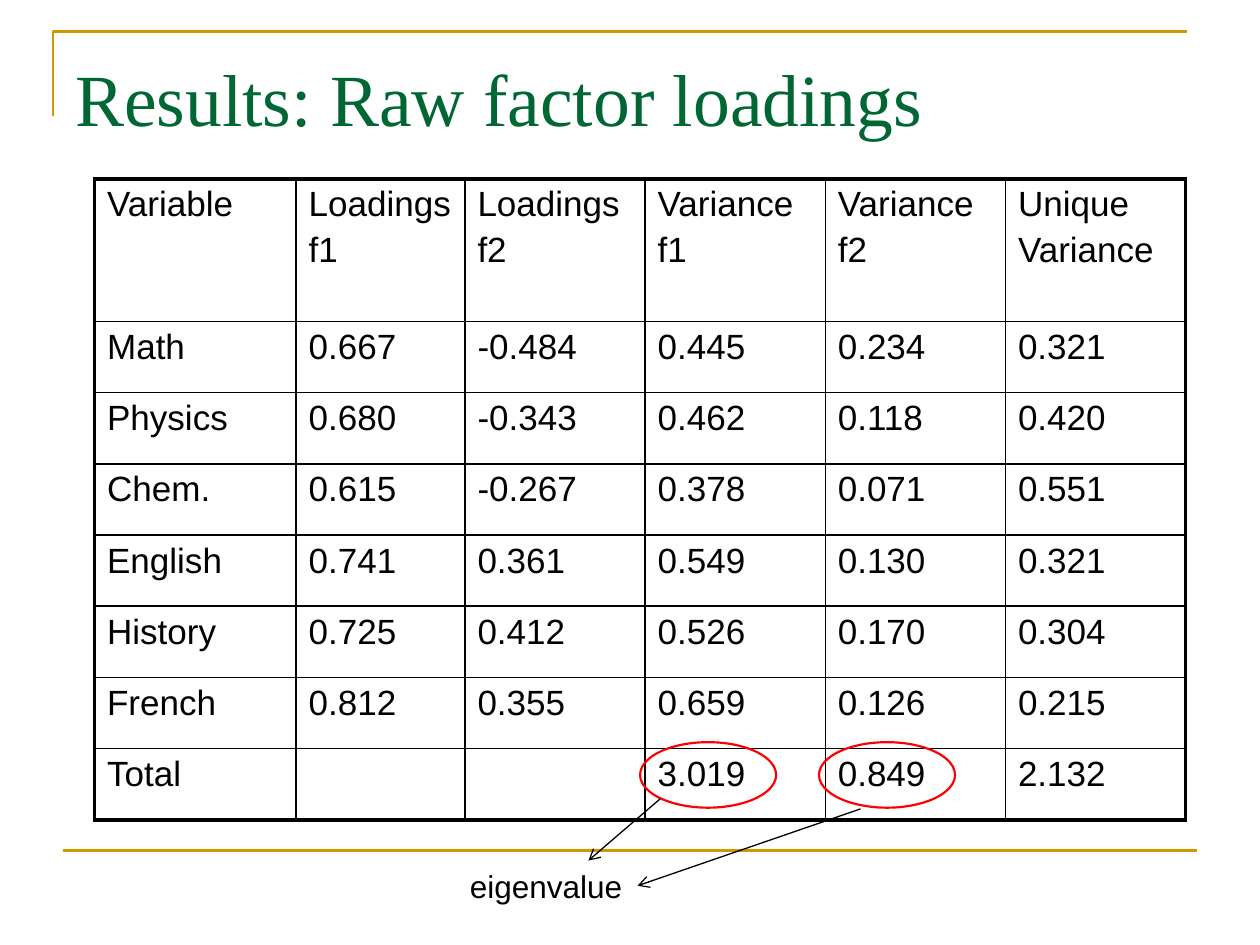
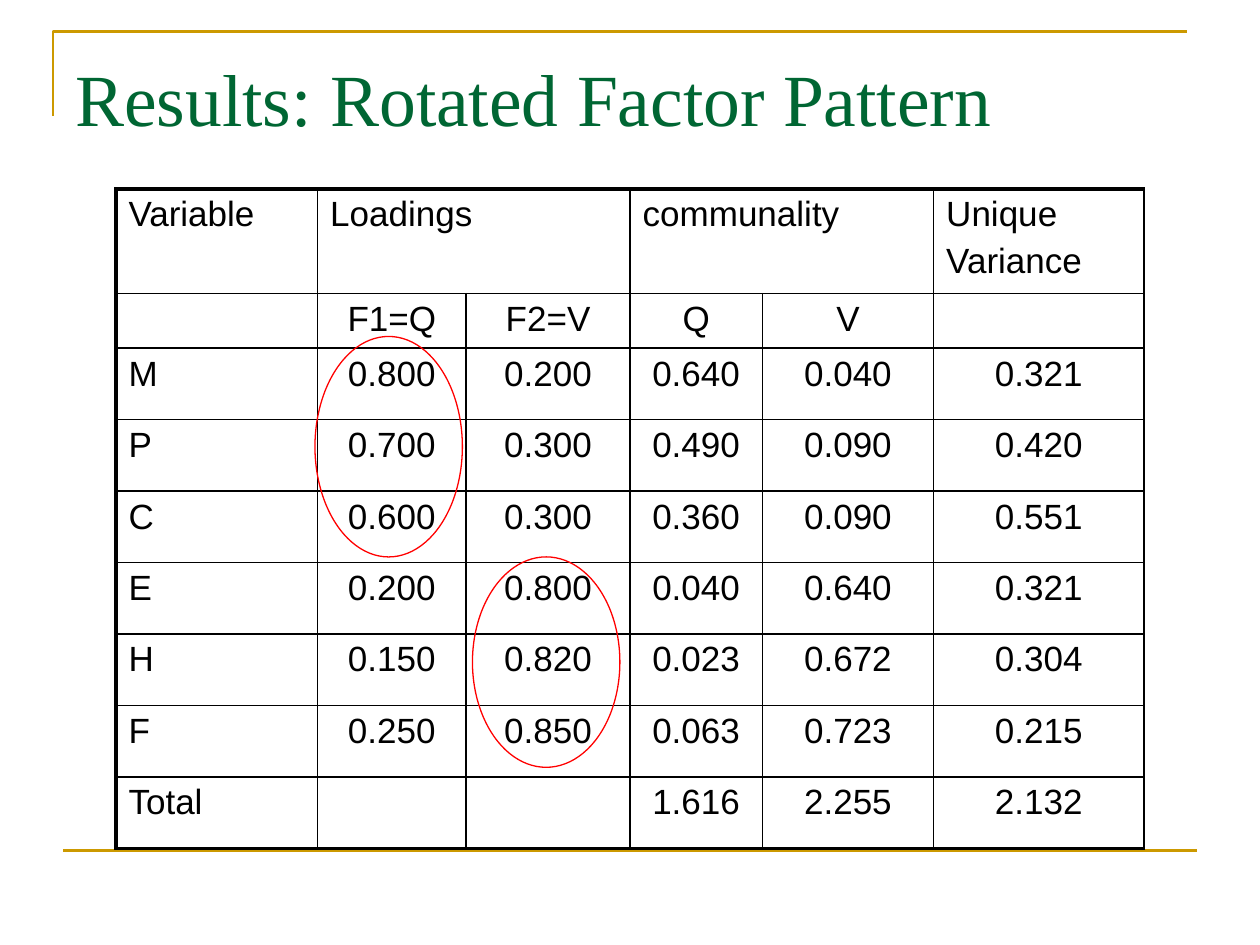
from pptx import Presentation
from pptx.dml.color import RGBColor
from pptx.enum.shapes import MSO_CONNECTOR, MSO_SHAPE
from pptx.enum.text import PP_ALIGN
from pptx.oxml.ns import qn
from pptx.util import Inches, Pt
from lxml.etree import SubElement, Element

GOLD, GREEN, BLACK, RED = "CC9900", "006633", "000000", "FF0000"
TITLE_FONT, BODY_FONT = "Times New Roman", "Arial"
THIN, THICK = 1, 2.25

RAW = {
    "title": "Results: Raw factor loadings",
    "left": 0.75, "top": 1.42, "height": 5.09,
    "columns": [1.6, 1.34, 1.43, 1.43, 1.43, 1.43],
    "head_heights": [1.13],
    "heavy_edges": "LTRB",
    "number_align": PP_ALIGN.LEFT,
    "spans": [],
    "rows": [
        ("Variable", "Loadings\nf1", "Loadings\nf2", "Variance\nf1",
         "Variance\nf2", "Unique\nVariance"),
        ("Math", "0.667", "-0.484", "0.445", "0.234", "0.321"),
        ("Physics", "0.680", "-0.343", "0.462", "0.118", "0.420"),
        ("Chem.", "0.615", "-0.267", "0.378", "0.071", "0.551"),
        ("English", "0.741", "0.361", "0.549", "0.130", "0.321"),
        ("History", "0.725", "0.412", "0.526", "0.170", "0.304"),
        ("French", "0.812", "0.355", "0.659", "0.126", "0.215"),
        ("Total", "", "", "3.019", "0.849", "2.132"),
    ],
    "rings": [(5.08, 5.89, 1.08, 0.52), (6.5, 5.89, 1.08, 0.52)],
    "ring_width": 1.25,
}
ROTATED = {
    "title": "Results: Rotated Factor Pattern",
    "left": 0.92, "top": 1.5, "height": 5.23,
    "columns": [1.6, 1.18, 1.3, 1.05, 1.36, 1.67],
    "head_heights": [0.83, 0.43],
    "heavy_edges": "LTB",
    "number_align": PP_ALIGN.CENTER,
    "spans": [(1, 2), (3, 4)],
    "rows": [
        ("Variable", "Loadings", "", "communality", "", "Unique\nVariance"),
        ("", "F1=Q", "F2=V", "Q", "V", ""),
        ("M", "0.800", "0.200", "0.640", "0.040", "0.321"),
        ("P", "0.700", "0.300", "0.490", "0.090", "0.420"),
        ("C", "0.600", "0.300", "0.360", "0.090", "0.551"),
        ("E", "0.200", "0.800", "0.040", "0.640", "0.321"),
        ("H", "0.150", "0.820", "0.023", "0.672", "0.304"),
        ("F", "0.250", "0.850", "0.063", "0.723", "0.215"),
        ("Total", "", "", "1.616", "2.255", "2.132"),
    ],
    "rings": [(3.75, 4.42, 1.17, 1.67), (2.5, 2.67, 1.17, 1.75)],
    "ring_width": 0.75,
}
EIGENVALUE_ARROWS = [((5.24, 6.34), (4.67, 6.83)), ((6.83, 6.42), (5.06, 7.03))]


def rgb(code):
    """Turn a hex string into a colour."""
    return RGBColor.from_string(code)


def write(frame, text, size=20, font=BODY_FONT, color=BLACK,
          align=PP_ALIGN.LEFT, gap=4):
    """Fill a text frame, one paragraph per line, with gap points between."""
    for number, line in enumerate(text.split("\n")):
        paragraph = frame.add_paragraph() if number else frame.paragraphs[0]
        paragraph.alignment = align
        if number:
            paragraph.space_before = Pt(gap)
        run = paragraph.add_run()
        run.text = line
        run.font.size, run.font.name = Pt(size), font
        run.font.color.rgb = rgb(color)


def add_text(slide, box, text, wrap=True, margin_top=0.05, **style):
    """Place a text box."""
    frame = slide.shapes.add_textbox(*map(Inches, box)).text_frame
    frame.word_wrap = wrap
    frame.margin_top = Inches(margin_top)
    write(frame, text, **style)


def add_line(slide, start, end, color=BLACK, width=0.75, arrow=False):
    """Draw a straight line, with an open arrowhead at its end if asked."""
    line = slide.shapes.add_connector(
        MSO_CONNECTOR.STRAIGHT, *map(Inches, (*start, *end)))
    line.line.color.rgb, line.line.width = rgb(color), Pt(width)
    if arrow:
        SubElement(line.line._get_or_add_ln(), qn("a:tailEnd"), type="arrow")
    SubElement(line._element.spPr, qn("a:effectLst"))


def outline(shape, color, width):
    """Leave a shape with only its outline."""
    shape.shadow.inherit = False
    shape.fill.background()
    shape.line.color.rgb, shape.line.width = rgb(color), Pt(width)


def add_frame(slide, title):
    """Draw the gold corner, the footer rule and the title."""
    corner = slide.shapes.build_freeform(
        Inches(0.42), Inches(0.92), scale=1.0)
    corner.add_line_segments(
        [(Inches(0.42), Inches(0.25)), (Inches(9.42), Inches(0.25))], close=False)
    outline(corner.convert_to_shape(), GOLD, 1.5)
    add_line(slide, (0.5, 6.75), (9.5, 6.75), GOLD, 1.5)
    add_text(slide, (0.5, 0.3, 9, 1.25), title, margin_top=0.12,
             size=42, font=TITLE_FONT, color=GREEN)


def set_borders(cell, heavy):
    """Rule all four sides of a cell, thick on the sides named in heavy."""
    properties = cell._tc.get_or_add_tcPr()
    for place, side in enumerate("LRTB"):
        width = Pt(THICK if side in heavy else THIN)
        border = Element(qn(f"a:ln{side}"), w=str(int(width)))
        fill = SubElement(border, qn("a:solidFill"))
        SubElement(fill, qn("a:srgbClr"), val=BLACK)
        properties.insert(place, border)


def add_results(slide, results):
    """Build the table; the rows below the heads share the height left."""
    rows, columns, heads = (results[k] for k in ("rows", "columns", "head_heights"))
    body_height = (results["height"] - sum(heads)) / (len(rows) - len(heads))
    table = slide.shapes.add_table(
        len(rows), len(columns), Inches(results["left"]), Inches(results["top"]),
        Inches(sum(columns)), Inches(results["height"])).table
    table.first_row = table.horz_banding = False
    for column, width in zip(table.columns, columns):
        column.width = Inches(width)
    for r, values in enumerate(rows):
        table.rows[r].height = Inches(heads[r] if r < len(heads) else body_height)
        for c, value in enumerate(values):
            cell = table.cell(r, c)
            on_edge = {"L": c == 0, "R": c == len(columns) - 1,
                       "T": r == 0, "B": r == len(rows) - 1}
            set_borders(cell, [s for s in results["heavy_edges"] if on_edge[s]])
            cell.fill.background()
            if value:
                write(cell.text_frame, value,
                      align=results["number_align"] if r and c else PP_ALIGN.LEFT)
    for first, last in results["spans"]:
        table.cell(0, first).merge(table.cell(0, last))


def add_results_slide(deck, results):
    """Add a slide with its frame, table and red rings."""
    slide = deck.slides.add_slide(deck.slide_layouts[6])
    add_frame(slide, results["title"])
    add_results(slide, results)
    for box in results["rings"]:
        ring = slide.shapes.add_shape(MSO_SHAPE.OVAL, *map(Inches, box))
        outline(ring, RED, results["ring_width"])
    return slide


deck = Presentation()
deck.slide_width, deck.slide_height = Inches(10), Inches(7.5)

raw_slide = add_results_slide(deck, RAW)
add_text(raw_slide, (3.63, 6.83, 1.42, 0.4), "eigenvalue", wrap=False, size=18)
for start, end in EIGENVALUE_ARROWS:
    add_line(raw_slide, start, end, arrow=True)

add_results_slide(deck, ROTATED)
deck.save("out.pptx")
